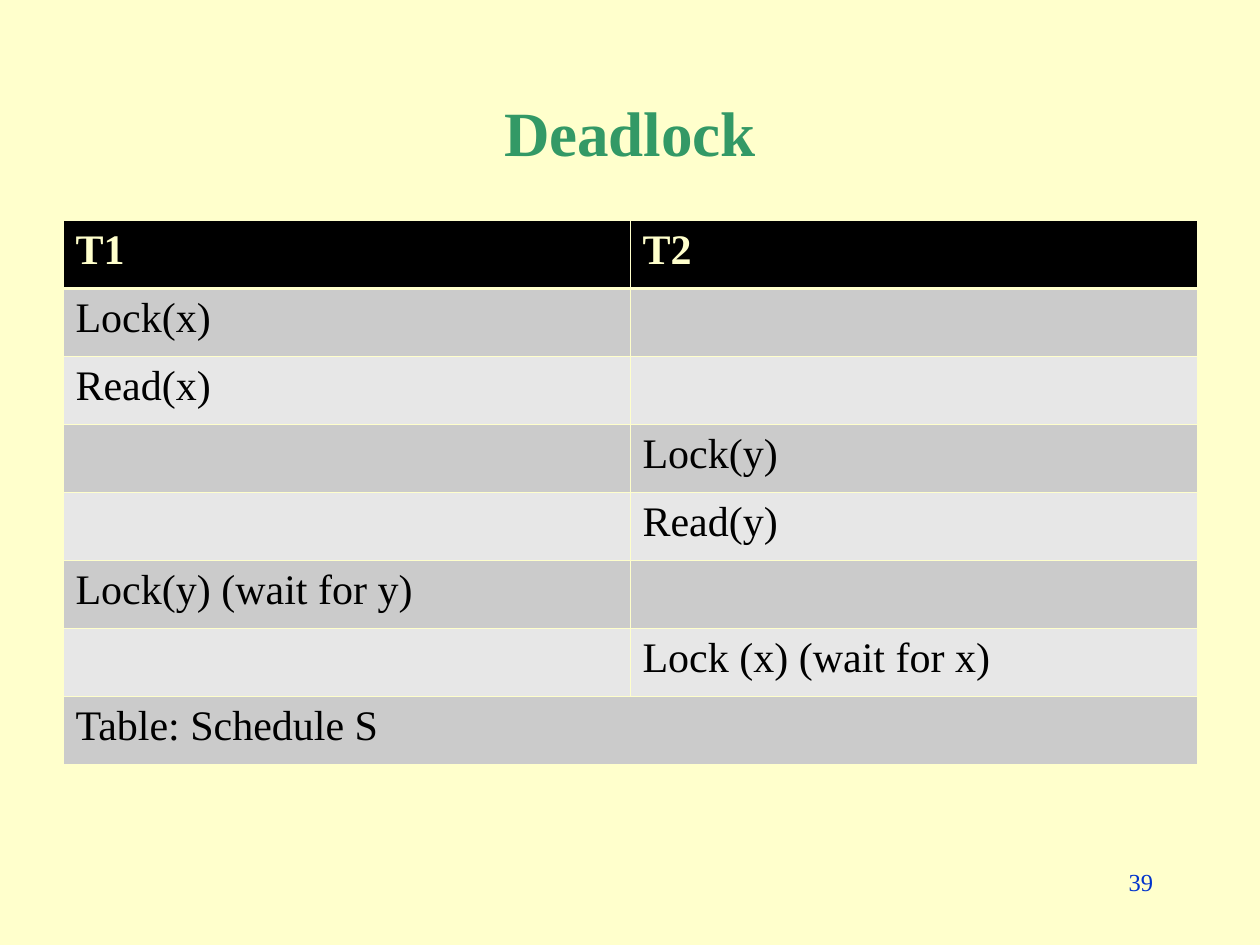
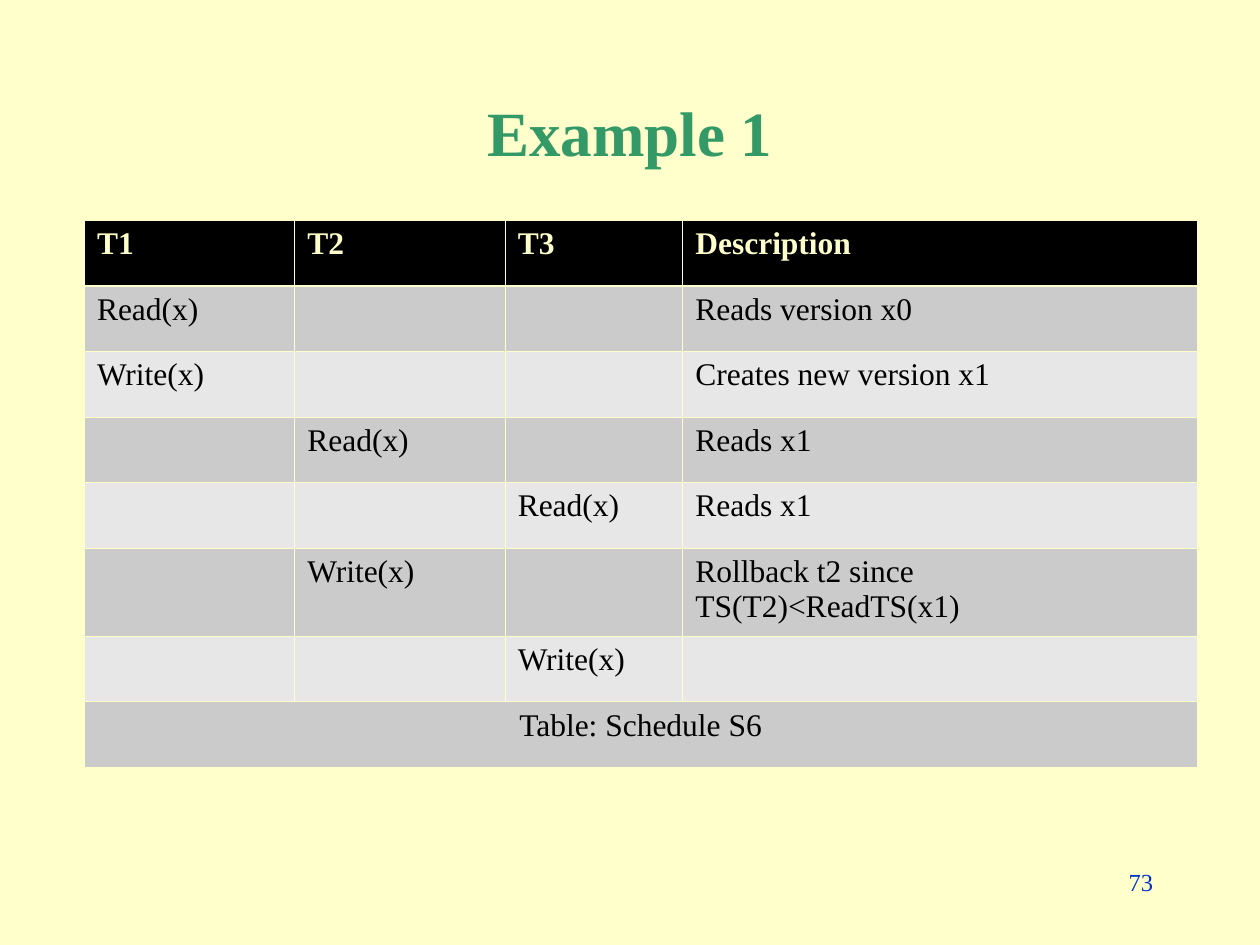
from lxml.etree import SubElement
from pptx import Presentation
from pptx.dml.color import RGBColor
from pptx.enum.text import MSO_ANCHOR, MSO_AUTO_SIZE, PP_ALIGN
from pptx.oxml.ns import qn
from pptx.util import Inches, Pt

FONT = "Times New Roman"
COLORS = {
    "page": "FFFFCC",
    "title": "339966",
    "number": "0033CC",
    "header": "000000",
    "text": "000000",
    "odd_row": "CBCBCB",
    "even_row": "E7E7E7",
}
TITLE_ONLY = 5
TABLE_TOP = 1.75
THIN, THICK = 0.45, 1.47

DEADLOCK_ROWS = [
    ["T1", "T2"],
    ["Lock(x)", ""],
    ["Read(x)", ""],
    ["", "Lock(y)"],
    ["", "Read(y)"],
    ["Lock(y) (wait for y)", ""],
    ["", "Lock (x) (wait for x)"],
    ["Table: Schedule S", ""],
]
VERSION_ROWS = [
    ["T1", "T2", "T3", "Description"],
    ["Read(x)", "", "", "Reads version x0"],
    ["Write(x)", "", "", "Creates new version x1"],
    ["", "Read(x)", "", "Reads x1"],
    ["", "", "Read(x)", "Reads x1"],
    ["", "Write(x)", "", "Rollback t2 since TS(T2)<ReadTS(x1)"],
    ["", "", "Write(x)", ""],
    ["Table: Schedule S6", "", "", ""],
]


def color(name):
    return RGBColor.from_string(COLORS[name])


def write(frame, text, size, color_name, bold=False, align=PP_ALIGN.LEFT):
    frame.text = text
    para = frame.paragraphs[0]
    para.alignment = align
    for font in [para.font] + [span.font for span in para.runs]:
        font.name, font.size, font.bold = FONT, Pt(size), bold
        font.color.rgb = color(color_name)


def place(shape, left, top, width, height):
    shape.left, shape.top = Inches(left), Inches(top)
    shape.width, shape.height = Inches(width), Inches(height)


def add_page(deck, title, number):
    """Add a slide with the shared background, title and page number."""
    page = deck.slides.add_slide(deck.slide_layouts[TITLE_ONLY])
    page.background.fill.solid()
    page.background.fill.fore_color.rgb = color("page")

    heading = page.shapes.title
    place(heading, 0.75, 0.67, 8.5, 0.75)
    heading.text_frame.auto_size = MSO_AUTO_SIZE.NONE
    heading.text_frame.vertical_anchor = MSO_ANCHOR.MIDDLE
    write(heading.text_frame, title, 36, "title", True, PP_ALIGN.CENTER)

    box = page.shapes.add_textbox(
        Inches(7.17), Inches(6.83), Inches(2.08), Inches(0.5))
    box.text_frame.word_wrap = True
    write(box.text_frame, str(number), 14, "number", align=PP_ALIGN.RIGHT)
    return page


def add_borders(cell, top, bottom):
    properties = cell._tc.get_or_add_tcPr()
    widths = {"a:lnL": THIN, "a:lnR": THIN, "a:lnT": top, "a:lnB": bottom}
    for tag, width in widths.items():
        line = SubElement(properties, qn(tag), w=str(Pt(width)))
        fill = SubElement(line, qn("a:solidFill"))
        SubElement(fill, qn("a:srgbClr"), val=COLORS["page"])


def style_cell(cell, row):
    add_borders(cell, THICK if row == 1 else THIN, THICK if row == 0 else THIN)
    band = "header" if row == 0 else "odd_row" if row % 2 else "even_row"
    cell.fill.solid()
    cell.fill.fore_color.rgb = color(band)


def add_schedule(page, rows, left, widths, heights, size, caption_align):
    """Add a banded table whose last row is a caption across all columns."""
    table = page.shapes.add_table(
        len(rows), len(widths), Inches(left), Inches(TABLE_TOP),
        Inches(sum(widths)), Inches(sum(heights))).table
    for column, width in zip(table.columns, widths):
        column.width = Inches(width)
    for table_row, height in zip(table.rows, heights):
        table_row.height = Inches(height)

    last = len(rows) - 1
    for row, texts in enumerate(rows):
        align = caption_align if row == last else PP_ALIGN.LEFT
        for column, text in enumerate(texts):
            cell = table.cell(row, column)
            style_cell(cell, row)
            write(cell.text_frame, text, size,
                  "page" if row == 0 else "text", row == 0, align)
    table.cell(last, 0).merge(table.cell(last, len(widths) - 1))


def main():
    deck = Presentation()
    deck.slide_width, deck.slide_height = Inches(10), Inches(7.5)

    deadlock = add_page(deck, "Deadlock", 39)
    add_schedule(deadlock, DEADLOCK_ROWS, 0.5, [4.5] * 2, [0.54] * 8,
                 24, PP_ALIGN.LEFT)

    example = add_page(deck, "Example 1", 73)
    add_schedule(example, VERSION_ROWS, 0.67, [1.67, 1.67, 1.41, 4.08],
                 [0.52] * 5 + [0.7] + [0.52] * 2, 18, PP_ALIGN.CENTER)

    deck.save("out.pptx")


if __name__ == "__main__":
    main()
